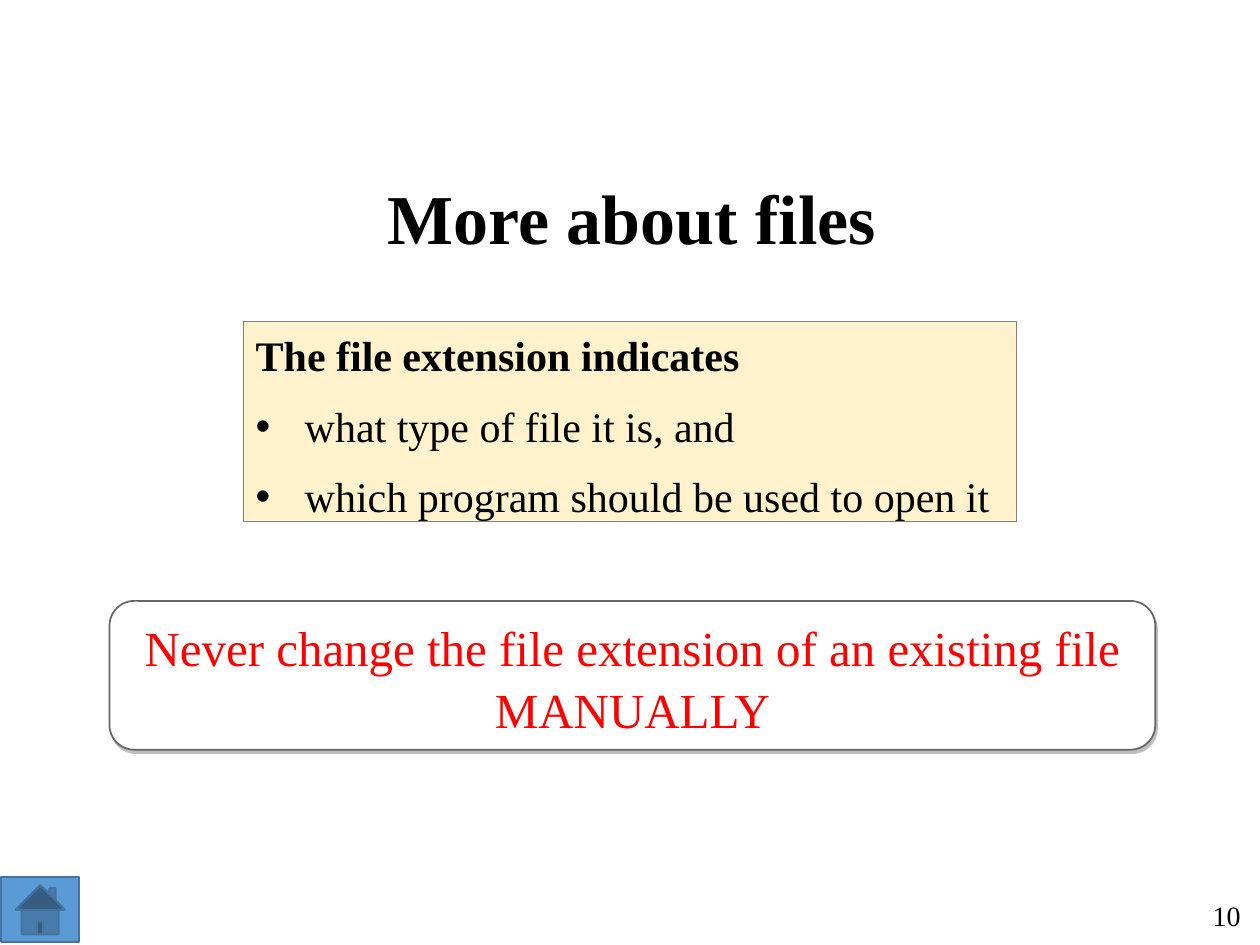
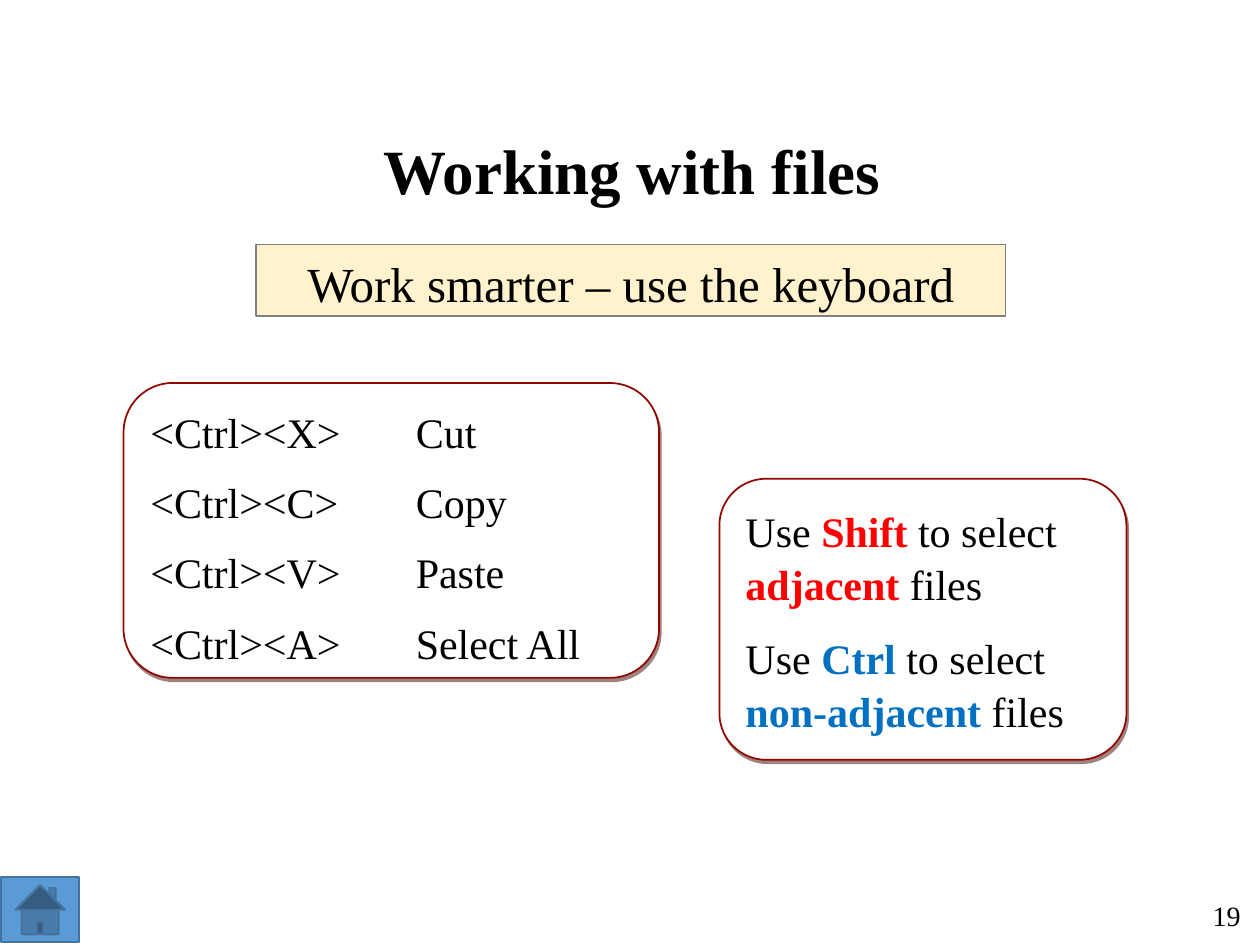
from pptx import Presentation
from pptx.dml.color import RGBColor
from pptx.enum.shapes import MSO_SHAPE as SHAPE
from pptx.enum.text import MSO_ANCHOR as ANCHOR, PP_ALIGN as ALIGN
from pptx.oxml.ns import qn
from pptx.util import Pt
from lxml.etree import SubElement

BLACK, WHITE, RED, BLUE = "000000", "FFFFFF", "FF0000", "0070C0"
CREAM, GREY, MAROON = "FFF2CC", "808080", "900700"


def rgb(value):
    return RGBColor.from_string(value)


def write(tf, content, size=24, bold=False, color=BLACK, align=ALIGN.LEFT,
          after=10, spacing=1.05, bullet=False):
    p = tf.paragraphs[-1]
    if p.runs:
        p = tf.add_paragraph()
    if bullet:
        pPr = p._p.get_or_add_pPr()
        pPr.set("marL", str(Pt(28)))
        pPr.set("indent", str(-Pt(28)))
        SubElement(pPr, qn("a:buFont"), typeface="Arial")
        SubElement(pPr, qn("a:buChar"), char="•")
    p.alignment = align
    p.line_spacing = spacing
    p.space_after = Pt(after)
    for part in [content] if isinstance(content, str) else content:
        if part == "\n":
            p.add_line_break()
            continue
        text, accent = (part, None) if isinstance(part, str) else part
        r = p.add_run()
        r.text = text
        r.font.name = Deck.font
        r.font.size = Pt(size)
        r.font.bold = bold or accent is not None
        r.font.color.rgb = rgb(accent or color)


class Deck:
    font = "Times New Roman"

    def __init__(self):
        self.prs = Presentation()
        self.prs.slide_width, self.prs.slide_height = Pt(720), Pt(540)
        self.slide = None

    def new_slide(self, title, number, title_height, title_size):
        self.slide = self.prs.slides.add_slide(self.prs.slide_layouts[6])
        self.label(title, (93, 72, 536, title_height), size=title_size,
                   bold=True, align=ALIGN.CENTER)
        self.label(str(number), (669, 511.5, 47, 23), size=16, align=ALIGN.RIGHT)
        self.shape(SHAPE.ACTION_BUTTON_HOME, (0.7, 501.1, 44.6, 37.4),
                   "5B9BD5", "43739E", 1.25)

    def label(self, text, box, **fmt):
        s = self.slide.shapes.add_textbox(*map(Pt, box))
        tf = s.text_frame
        tf.word_wrap = True
        tf.vertical_anchor = ANCHOR.MIDDLE
        write(tf, text, after=0, spacing=1, **fmt)

    def shape(self, kind, box, fill, line, width):
        s = self.slide.shapes.add_shape(kind, *map(Pt, box))
        s.shadow.inherit = False
        s.fill.solid()
        s.fill.fore_color.rgb = rgb(fill)
        s.line.color.rgb = rgb(line)
        s.line.width = Pt(width)
        s.text_frame.word_wrap = True
        s.text_frame.vertical_anchor = ANCHOR.TOP
        return s

    def banner(self, box):
        return self.shape(SHAPE.RECTANGLE, box, CREAM, GREY, 0.75).text_frame

    def card(self, box, line, shadow):
        s = self.shape(SHAPE.ROUNDED_RECTANGLE, box, WHITE, line, 1)
        effects = s.element.spPr.find(qn("a:effectLst"))
        outer = SubElement(effects, qn("a:outerShdw"), dist=str(Pt(2.2)),
                           dir=str(63 * 60000), algn="ctr", rotWithShape="0")
        tint = SubElement(outer, qn("a:srgbClr"), val=shadow)
        SubElement(tint, qn("a:alpha"), val="50000")
        return s.text_frame

    def columns(self, tf, count, gap):
        body = tf._txBody.bodyPr
        body.set("numCol", str(count))
        body.set("spcCol", str(Pt(gap)))
        tf.margin_bottom = 0


def file_extensions(deck):
    deck.new_slide("More about files", 10, 103, 40)
    tf = deck.card((62.6, 343.4, 597.6, 85), "666666", "7F7F7F")
    write(tf, ["Never change the file extension of an existing file", "\n", "MANUALLY"],
          size=28, color=RED, align=ALIGN.CENTER)
    tf = deck.banner((139, 183.6, 442, 114.5))
    write(tf, "The file extension indicates", bold=True)
    for item in ("what type of file it is, and",
                 "which program should be used to open it"):
        write(tf, item, bullet=True)


def keyboard_shortcuts(deck):
    deck.new_slide("Working with files", 19, 50, 36)
    tf = deck.banner((146.2, 139.7, 428.4, 41))
    write(tf, "Work smarter – use the keyboard", size=28, align=ALIGN.CENTER)

    shortcuts = {"X": "Cut", "C": "Copy", "V": "Paste", "A": "Select All"}
    tf = deck.card((70.6, 218.9, 306, 168.5), MAROON, "410600")
    deck.columns(tf, 2, 28)
    for text in [f"<Ctrl><{key}>" for key in shortcuts] + list(shortcuts.values()):
        write(tf, text)

    tf = deck.card((411.1, 273.6, 232.6, 160.6), MAROON, "410600")
    tf.vertical_anchor = ANCHOR.MIDDLE
    for key, target, color, after in (("Shift", "adjacent", RED, 12),
                                      ("Ctrl", "non-adjacent", BLUE, 0)):
        write(tf, ["Use ", (key, color), " to select ", (target, color), " files"],
              after=after)


def main():
    deck = Deck()
    file_extensions(deck)
    keyboard_shortcuts(deck)
    deck.prs.save("out.pptx")


if __name__ == "__main__":
    main()
